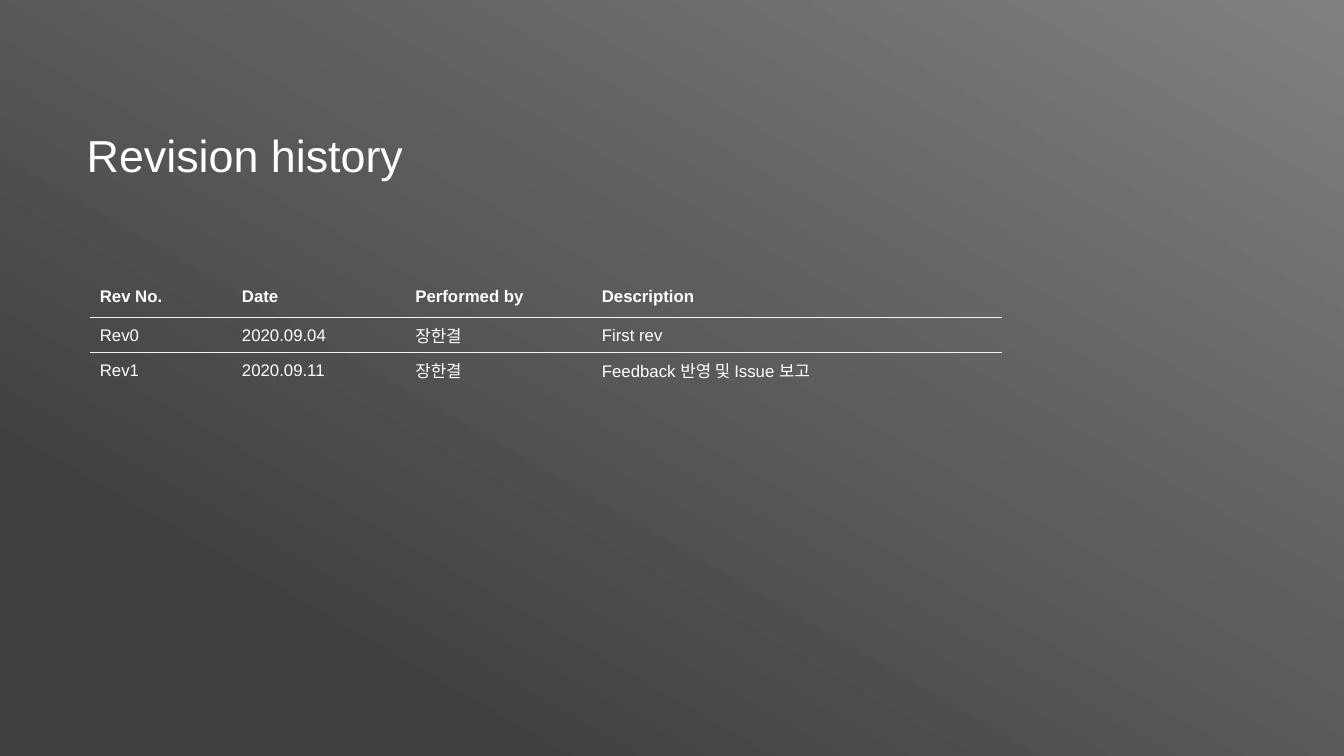
"""Build the revision history slide: a title above a ruled table on a dark gradient."""
from dataclasses import dataclass

from lxml import etree
from pptx import Presentation
from pptx.dml.color import RGBColor
from pptx.enum.shapes import MSO_SHAPE
from pptx.enum.text import MSO_ANCHOR, MSO_AUTO_SIZE, PP_ALIGN
from pptx.oxml.ns import qn
from pptx.util import Inches, Pt

RECTANGLE = MSO_SHAPE.RECTANGLE
MIDDLE = MSO_ANCHOR.MIDDLE
LEFT = PP_ALIGN.LEFT
FIT_SHAPE = MSO_AUTO_SIZE.SHAPE_TO_FIT_TEXT
TITLE_ONLY = 5
NO_STYLE_NO_GRID = "{2D5ABB26-0587-4C30-8999-92F81FD0307C}"


@dataclass(frozen=True)
class Theme:
    font: str = "Arial"
    text: str = "FFFFFF"
    rule: str = "F2F2F2"
    dark: str = "404040"
    light: str = "808080"
    title_size: int = 32
    table_size: int = 12
    rule_width: int = 1


theme = Theme()


def format_text(paragraph, size, bold=False):
    paragraph.alignment = LEFT
    paragraph.font.name = theme.font
    paragraph.font.size = Pt(size)
    paragraph.font.bold = bold
    paragraph.font.color.rgb = RGBColor.from_string(theme.text)


def add_rule(cell, side):
    line = etree.Element(qn(side), w=str(Pt(theme.rule_width)))
    fill = etree.SubElement(line, qn("a:solidFill"))
    etree.SubElement(fill, qn("a:srgbClr"), val=theme.rule)
    cell._tc.get_or_add_tcPr().insert(0, line)


presentation = Presentation()
presentation.slide_width = Inches(13.33)
presentation.slide_height = Inches(7.5)
slide = presentation.slides.add_slide(presentation.slide_layouts[TITLE_ONLY])

backdrop = slide.shapes.add_shape(
    RECTANGLE, 0, 0, presentation.slide_width, presentation.slide_height
)
backdrop.shadow.inherit = False
backdrop.line.fill.background()
backdrop.fill.gradient()
backdrop.fill.gradient_angle = 60
for stop, position, color in zip(
    backdrop.fill.gradient_stops, (0.19, 1), (theme.dark, theme.light)
):
    stop.position = position
    stop.color.rgb = RGBColor.from_string(color)

title = slide.shapes.title
title._element.addprevious(backdrop._element)
title.left, title.top = Inches(0.76), Inches(1.21)
title.width, title.height = Inches(3.37), Inches(0.64)
title.text_frame.text = "Revision history"
title.text_frame.word_wrap = False
title.text_frame.auto_size = FIT_SHAPE
title.text_frame.vertical_anchor = MIDDLE
format_text(title.text_frame.paragraphs[0], theme.title_size)

revisions = [
    ("Rev No.", "Date", "Performed by", "Description"),
    ("Rev0", "2020.09.04", "장한결", "First rev"),
    ("Rev1", "2020.09.11", "장한결", "Feedback 반영 및 Issue 보고"),
]
spare_rows = 8
column_widths = [1.41, 1.72, 1.85, 4.07]
row_heights = [0.41] + [0.35] * (len(revisions) - 1 + spare_rows)
entries = revisions + [("",) * len(column_widths)] * spare_rows

table_frame = slide.shapes.add_table(
    len(row_heights), len(column_widths), Inches(0.89), Inches(2.74),
    Inches(sum(column_widths)), Inches(sum(row_heights)),
)
table = table_frame.table
table.horz_banding = False
table._tbl.tblPr.find(qn("a:tableStyleId")).text = NO_STYLE_NO_GRID
for column, width in zip(table.columns, column_widths):
    column.width = Inches(width)

for row_index, (row, height) in enumerate(zip(table.rows, row_heights)):
    row.height = Inches(height)
    for cell, entry in zip(row.cells, entries[row_index]):
        cell.text = entry
        cell.vertical_anchor = MIDDLE
        cell.margin_top = cell.margin_bottom = 0
        cell.fill.background()
        format_text(cell.text_frame.paragraphs[0], theme.table_size, row_index == 0)
        if row_index == 0:
            add_rule(cell, "a:lnB")
        elif row_index == 1:
            add_rule(cell, "a:lnT")

presentation.save("out.pptx")
